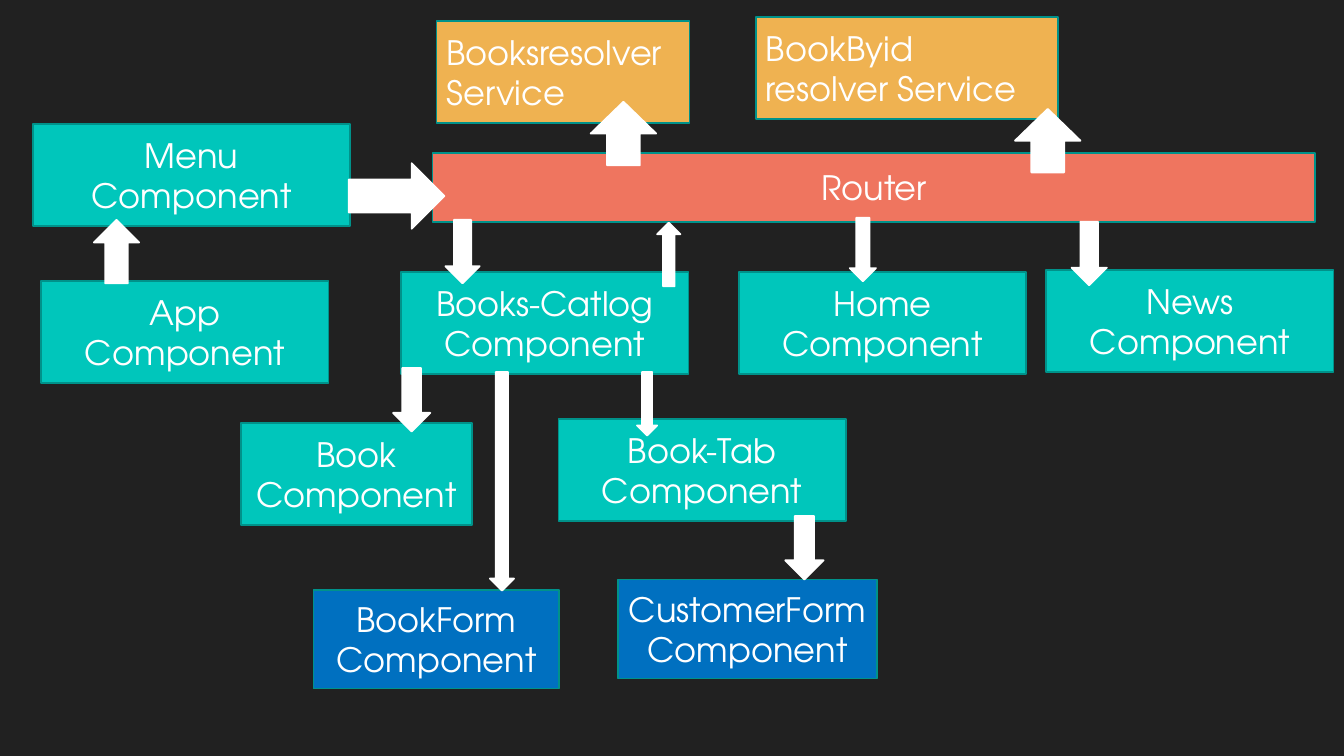
from dataclasses import dataclass

from pptx import Presentation
from pptx.dml.color import RGBColor
from pptx.enum.shapes import MSO_SHAPE
from pptx.enum.text import MSO_ANCHOR, PP_ALIGN
from pptx.util import Pt

RECTANGLE = MSO_SHAPE.RECTANGLE
DOWN_ARROW = MSO_SHAPE.DOWN_ARROW
MIDDLE = MSO_ANCHOR.MIDDLE
LEFT = PP_ALIGN.LEFT
CENTER = PP_ALIGN.CENTER

DOWN, UP, RIGHT = 0, 180, 270
BLANK_LAYOUT = 6
BOX_WIDTH, BOX_HEIGHT = 205.2, 72.7
FORM_HEIGHT = 70.6
ARROW_LENGTH = 45.4


@dataclass(frozen=True)
class Theme:
    background: str = "212121"
    component: str = "00C6BB"
    router: str = "EF755F"
    form: str = "0070C0"
    service: str = "EFB251"
    outline: str = "00928A"
    white: str = "FFFFFF"
    font: str = "TeX Gyre Adventor"
    text_size: float = 24
    line_width: float = 1.25


THEME = Theme()

COMPONENTS = [
    ("App Component", 29.5, 200.9, BOX_WIDTH),
    ("Menu Component", 23.8, 88.6, 226.1),
    ("Books-Catlog Component", 286.6, 194.4, BOX_WIDTH),
    ("Home Component", 527.8, 194.4, BOX_WIDTH),
    ("News Component", 747.4, 193, BOX_WIDTH),
    ("Book Component", 172.1, 302.4, 164.9),
    ("Book-Tab Component", 398.9, 299.5, BOX_WIDTH),
]

FORMS = [
    ("CustomerForm Component", 441.4, 414, 185),
    ("BookForm Component", 223.9, 421.2, 175.7),
]

SERVICES = [
    ("Booksresolver Service", 311.8, 15.1, 180.7),
    ("BookByid\nresolver Service", 540, 12.2, 216),
]

ARROWS = [
    (318.2, 157, 24.5, ARROW_LENGTH, DOWN),
    (607, 155.5, 18.7, ARROW_LENGTH, DOWN),
    (765.4, 158.4, 25.2, ARROW_LENGTH, DOWN),
    (67, 157, 32.4, ARROW_LENGTH, UP),
    (259.9, 105.8, 46.8, 68.4, RIGHT),
    (280.8, 262.8, 26.6, ARROW_LENGTH, DOWN),
    (455, 265.7, 14.4, ARROW_LENGTH, DOWN),
    (349.9, 265.7, 17.3, 156.2, DOWN),
    (560.9, 368.6, 27.4, ARROW_LENGTH, DOWN),
    (421.9, 72.7, 46.8, ARROW_LENGTH, UP),
    (725, 77.8, 46.8, ARROW_LENGTH, UP),
    (469.4, 159.1, 16.6, ARROW_LENGTH, UP),
]


def color(value):
    return RGBColor.from_string(value)


def add_filled_shape(slide, kind, left, top, width, height, fill, outline):
    shape = slide.shapes.add_shape(kind, Pt(left), Pt(top), Pt(width), Pt(height))
    shape.shadow.inherit = False
    shape.fill.solid()
    shape.fill.fore_color.rgb = color(fill)
    shape.line.color.rgb = color(outline)
    shape.line.width = Pt(THEME.line_width)
    return shape


def write_text(shape, text, *, alignment=CENTER, size=THEME.text_size, ink=THEME.white):
    frame = shape.text_frame
    frame.word_wrap = True
    frame.vertical_anchor = MIDDLE
    frame.text = text
    for paragraph in frame.paragraphs:
        paragraph.alignment = alignment
        font = paragraph.runs[0].font
        font.name = THEME.font
        font.size = Pt(size)
        font.color.rgb = color(ink)


def add_box(slide, text, left, top, width, height, fill, alignment=CENTER):
    box = add_filled_shape(slide, RECTANGLE, left, top, width, height, fill, THEME.outline)
    write_text(box, text, alignment=alignment)


def add_arrow(slide, left, top, width, length, rotation):
    arrow = add_filled_shape(
        slide, DOWN_ARROW, left, top, width, length, THEME.white, THEME.white
    )
    arrow.rotation = rotation


def main():
    presentation = Presentation()
    presentation.slide_width = Pt(960)
    presentation.slide_height = Pt(540)
    slide = presentation.slides.add_slide(presentation.slide_layouts[BLANK_LAYOUT])
    slide.background.fill.solid()
    slide.background.fill.fore_color.rgb = color(THEME.background)

    add_box(slide, "Router", 308.9, 109.4, 630.7, 49, THEME.router)
    for component in COMPONENTS:
        add_box(slide, *component, BOX_HEIGHT, THEME.component)
    for form in FORMS:
        add_box(slide, *form, FORM_HEIGHT, THEME.form)
    for service in SERVICES:
        add_box(slide, *service, BOX_HEIGHT, THEME.service, alignment=LEFT)
    for arrow in ARROWS:
        add_arrow(slide, *arrow)

    presentation.save("out.pptx")


if __name__ == "__main__":
    main()
